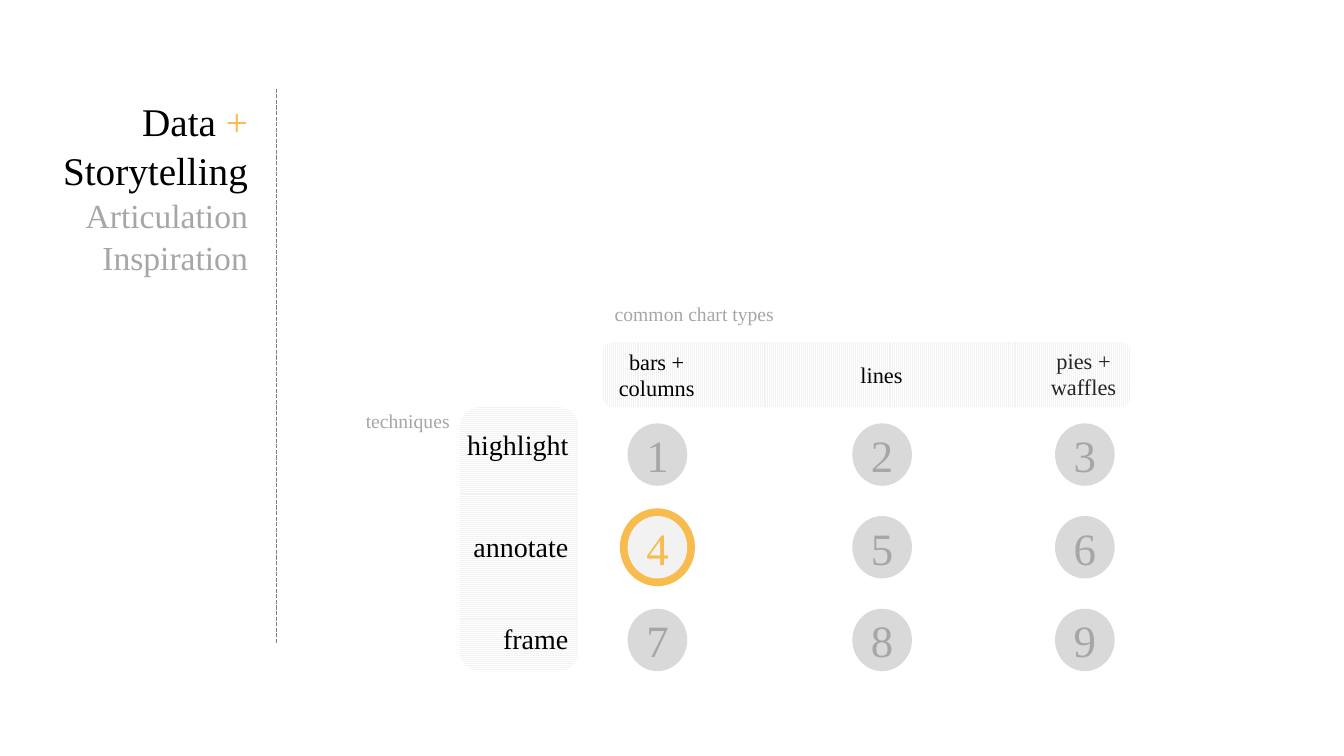
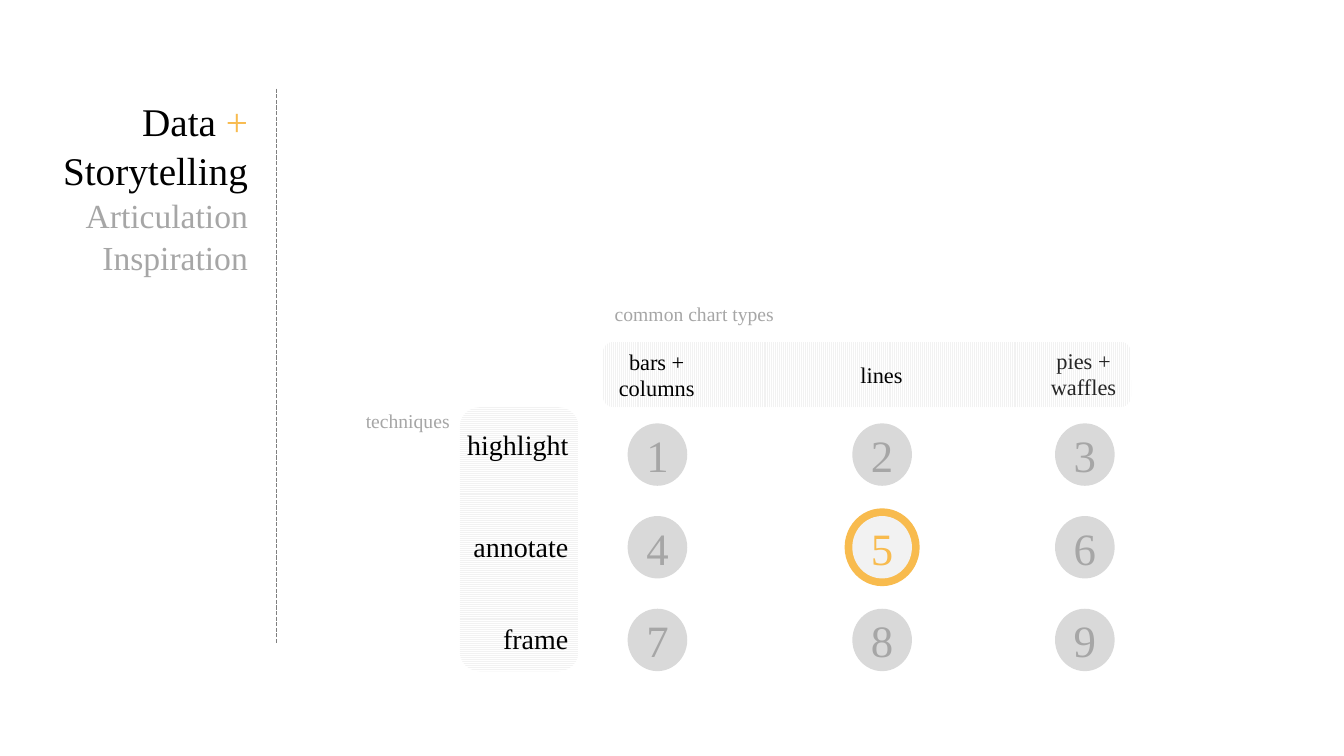
from lxml import etree
from pptx import Presentation
from pptx.dml.color import RGBColor
from pptx.enum.dml import MSO_LINE, MSO_PATTERN
from pptx.enum.shapes import MSO_CONNECTOR, MSO_SHAPE
from pptx.enum.text import MSO_ANCHOR, MSO_AUTO_SIZE, PP_ALIGN
from pptx.oxml.ns import qn
from pptx.util import Pt

LEFT, CENTER, RIGHT = PP_ALIGN.LEFT, PP_ALIGN.CENTER, PP_ALIGN.RIGHT
TOP, MIDDLE = MSO_ANCHOR.TOP, MSO_ANCHOR.MIDDLE
OVAL, ROUNDED = MSO_SHAPE.OVAL, MSO_SHAPE.ROUNDED_RECTANGLE
VERTICAL, HORIZONTAL = MSO_PATTERN.LIGHT_VERTICAL, MSO_PATTERN.LIGHT_HORIZONTAL
STRAIGHT = MSO_CONNECTOR.STRAIGHT
DASH = MSO_LINE.SQUARE_DOT
NO_AUTOFIT = MSO_AUTO_SIZE.NONE
TITLE_ONLY = 5

FONT = "Times New Roman"
BLACK, CHARCOAL, GRAY, MUTED = "000000", "262626", "808080", "A6A6A6"
DISC, PALE, WHITE, ACCENT = "D9D9D9", "F2F2F2", "FFFFFF", "F8BB4E"

TITLE_LINES = [
    [("Data ", 28, BLACK), ("+", 28, ACCENT)],
    [("Storytelling", 28, BLACK)],
    [("Articulation Inspiration", 24, MUTED)],
]
CAPTIONS = [
    ("techniques", (254.2, 288.7, 119.5, 24.5)),
    ("common chart types", (432, 212.4, 177.1, 24.5)),
]
TECHNIQUES = [
    ("highlight", (308.2, 301.7, 104.9, 31.7)),
    ("annotate", (321.1, 374.4, 92, 31.7)),
    ("frame", (321.1, 440.6, 92, 31.7)),
]
CHART_TYPES = [
    ("bars + columns", (428.4, 244.8, 81.4, 46.1), BLACK),
    ("lines", (583.2, 254.2, 92.9, 26.6), BLACK),
    ("pies + waffles", (733.7, 244.1, 80.6, 46.1), CHARCOAL),
]
DISC_WIDTH, DISC_HEIGHT = 42.6, 44.6
RING_MARGIN = 5.5
COLUMN_LEFTS = [448.3, 608.8, 753.6]
FIRST_ROW_TOP, ROW_STEP = 302.4, 66.2
ROW_COUNT = 3


def rgb(value):
    """Turn a hex string into a colour."""
    return RGBColor.from_string(value)


def write_text(para, text, size, color=BLACK, align=LEFT):
    """Add formatted text to a paragraph."""
    para.alignment = align
    span = para.add_run()
    span.text = text
    span.font.name = FONT
    span.font.size = Pt(size)
    span.font.color.rgb = rgb(color)


def add_label(page, text, area, **style):
    """Add a wrapping text box in the given area."""
    box = page.shapes.add_textbox(*map(Pt, area))
    box.text_frame.word_wrap = True
    write_text(box.text_frame.paragraphs[0], text, **style)


def add_plain_shape(page, kind, area):
    """Add a shape without outline or shadow."""
    shape = page.shapes.add_shape(kind, *map(Pt, area))
    shape.shadow.inherit = False
    shape.line.fill.background()
    return shape


def add_band(page, pattern, area):
    """Add a rounded band with fine stripes."""
    fill = add_plain_shape(page, ROUNDED, area).fill
    fill.patterned()
    fill.pattern = pattern
    fill.fore_color.rgb = rgb(PALE)
    fill.back_color.rgb = rgb(WHITE)


def add_oval(page, area, color):
    """Add a solid oval."""
    oval = add_plain_shape(page, OVAL, area)
    oval.fill.solid()
    oval.fill.fore_color.rgb = rgb(color)
    return oval


def add_number(page, number, left, top, active):
    """Add a numbered disc, ringed when it is active."""
    if active:
        ring = (left - RING_MARGIN, top - RING_MARGIN,
                DISC_WIDTH + 2 * RING_MARGIN, DISC_HEIGHT + 2 * RING_MARGIN)
        add_oval(page, ring, ACCENT)
    disc = add_oval(page, (left, top, DISC_WIDTH, DISC_HEIGHT), PALE if active else DISC)
    frame = disc.text_frame
    frame.vertical_anchor = MIDDLE
    write_text(frame.paragraphs[0], str(number), size=32,
               color=ACCENT if active else MUTED, align=CENTER)


def add_title(page):
    """Place and fill the title beside the divider."""
    title = page.shapes.title
    title.left, title.top, title.width, title.height = map(Pt, (29.5, 63.4, 154.8, 162.7))
    frame = title.text_frame
    frame.auto_size = NO_AUTOFIT
    frame.vertical_anchor = TOP
    frame.margin_top = Pt(4.5)
    for index, spans in enumerate(TITLE_LINES):
        para = frame.add_paragraph() if index else frame.paragraphs[0]
        para.line_spacing = 1.04
        for text, size, color in spans:
            write_text(para, text, size, color=color, align=RIGHT)


def add_divider(page):
    """Draw the dashed vertical divider."""
    divider = page.shapes.add_connector(STRAIGHT, *map(Pt, (197.3, 63.4, 197.3, 459.4)))
    divider.line.color.rgb = rgb(GRAY)
    divider.line.width = Pt(1)
    divider.line.dash_style = DASH
    etree.SubElement(divider._element.spPr, qn("a:effectLst"))


def add_matrix(page, active_number):
    """Draw the technique and chart type matrix."""
    add_band(page, VERTICAL, (430.6, 244.1, 377.3, 46.8))
    add_band(page, HORIZONTAL, (328.3, 290.9, 85, 188.6))
    for text, area in CAPTIONS:
        add_label(page, text, area, size=14, color=MUTED)
    for text, area in TECHNIQUES:
        add_label(page, text, area, size=20, align=RIGHT)
    for text, area, color in CHART_TYPES:
        add_label(page, text, area, size=16, color=color, align=CENTER)
    for row in range(ROW_COUNT):
        for column, left in enumerate(COLUMN_LEFTS):
            number = row * len(COLUMN_LEFTS) + column + 1
            add_number(page, number, left, FIRST_ROW_TOP + row * ROW_STEP,
                       number == active_number)


def main():
    """Build one page for each active number."""
    deck = Presentation()
    deck.slide_width, deck.slide_height = Pt(960), Pt(540)
    for active_number in (4, 5):
        page = deck.slides.add_slide(deck.slide_layouts[TITLE_ONLY])
        add_title(page)
        add_divider(page)
        add_matrix(page, active_number)
    deck.save("out.pptx")


if __name__ == "__main__":
    main()
